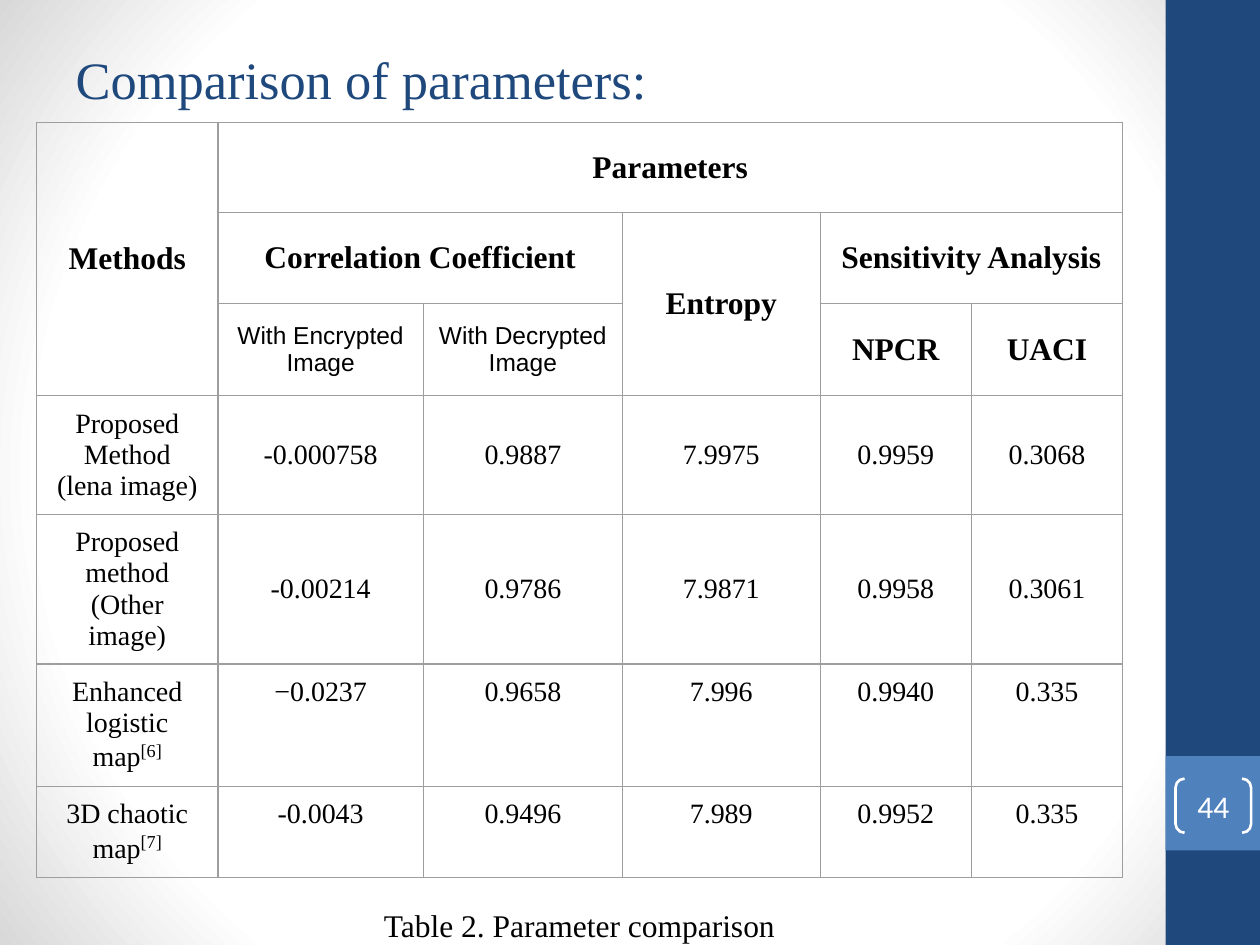
from lxml import etree
from pptx import Presentation
from pptx.dml.color import RGBColor
from pptx.enum.shapes import MSO_SHAPE
from pptx.enum.text import MSO_ANCHOR, PP_ALIGN
from pptx.oxml import parse_xml
from pptx.util import Inches, Pt

RECT, PAIR = MSO_SHAPE.RECTANGLE, MSO_SHAPE.DOUBLE_BRACKET
LEFT, MID = PP_ALIGN.LEFT, PP_ALIGN.CENTER
TOP, CENTER = MSO_ANCHOR.TOP, MSO_ANCHOR.MIDDLE
NS = "http://schemas.openxmlformats.org/drawingml/2006/main"
SERIF = "Times New Roman"
HUES = {"navy": "1F497D", "blue": "4F81BD", "white": "FFFFFF",
        "black": "000000", "gray": "D8D8D8", "rule": "9E9E9E"}


def write(frame, text, size=16, font=SERIF, hue="black", bold=False, align=MID):
    frame.word_wrap = True
    for i, line in enumerate(text.split("\n")):
        para = frame.paragraphs[0] if i == 0 else frame.add_paragraph()
        para.alignment = align
        for j, part in enumerate(line.split("^")):
            run = para.add_run()
            run.text = part
            run.font.name = font
            run.font.size = Pt(18 if j else size)
            run.font.bold = bold
            run.font.color.rgb = RGBColor.from_string(HUES[hue])
            if j:
                run.font._element.set("baseline", "30000")


deck = Presentation()
deck.slide_width, deck.slide_height = Inches(10), Inches(7.5)
slide = deck.slides.add_slide(deck.slide_layouts[5])
shapes = slide.shapes

fill = slide.background.fill
fill.gradient()
grad = slide.background._cSld.find(f".//{{{NS}}}gradFill")
stops = "".join(f'<a:gs pos="{at * 1000}"><a:srgbClr val="{HUES[hue]}"/></a:gs>'
                for at, hue in ((0, "white"), (75, "white"), (100, "gray")))
grad.getparent().replace(grad, parse_xml(
    f'<a:gradFill xmlns:a="{NS}" rotWithShape="1"><a:gsLst>{stops}</a:gsLst>'
    '<a:path path="circle"><a:fillToRect l="50000" t="50000" r="50000" b="50000"/>'
    '</a:path></a:gradFill>'))

for top, high, hue in ((0, 7.5, "navy"), (6, 0.75, "blue")):
    bar = shapes.add_shape(RECT, Inches(9.25), Inches(top), Inches(0.75), Inches(high))
    bar.shadow.inherit = False
    bar.fill.solid()
    bar.fill.fore_color.rgb = RGBColor.from_string(HUES[hue])
    bar.line.fill.background()

title = shapes.title
title.left, title.top = Inches(0.5), Inches(0)
title.width, title.height = Inches(8.33), Inches(1.25)
title.text_frame.vertical_anchor = CENTER
write(title.text_frame, "Comparison of parameters:", size=30, hue="navy", align=LEFT)

rows = [
    ["Methods", "Parameters", "", "", "", ""],
    ["", "Correlation Coefficient", "", "Entropy", "Sensitivity Analysis", ""],
    ["", "With Encrypted Image", "With Decrypted Image", "", "NPCR", "UACI"],
    ["Proposed Method\n(lena image)", "-0.000758", "0.9887", "7.9975", "0.9959", "0.3068"],
    ["Proposed method\n(Other image)", "-0.00214", "0.9786", "7.9871", "0.9958", "0.3061"],
    ["Enhanced logistic map^[6]", "−0.0237", "0.9658", "7.996", "0.9940", "0.335"],
    ["3D chaotic map^[7]", "-0.0043", "0.9496", "7.989", "0.9952", "0.335"],
]
wide = [1.44, 1.63, 1.58, 1.57, 1.2, 1.2]
high = [0.72, 0.72, 0.73, 0.94, 1.19, 0.97, 0.72]
table = shapes.add_table(len(rows), len(wide), Inches(0.29), Inches(0.97),
                         Inches(sum(wide)), Inches(sum(high))).table
table.first_row = table.horz_banding = False
for col, size in zip(table.columns, wide):
    col.width = Inches(size)
for row, size in zip(table.rows, high):
    row.height = Inches(size)
for r, c, down, over in ((0, 0, 2, 0), (0, 1, 0, 4), (1, 1, 0, 1), (1, 3, 1, 0), (1, 4, 0, 1)):
    table.cell(r, c).merge(table.cell(r + down, c + over))

for r, row in enumerate(rows):
    for c, text in enumerate(row):
        cell = table.cell(r, c)
        cell.margin_left = cell.margin_right = Inches(0.1)
        cell.margin_top = cell.margin_bottom = Inches(0.1)
        cell.vertical_anchor = CENTER if r < 5 else TOP
        props = cell._tc.get_or_add_tcPr()
        for side in "LRTB":
            edge = etree.SubElement(props, f"{{{NS}}}ln{side}", w=str(Pt(0.75)))
            paint = etree.SubElement(edge, f"{{{NS}}}solidFill")
            etree.SubElement(paint, f"{{{NS}}}srgbClr", val=HUES["rule"])
        cell.fill.background()
        if text.startswith("With"):
            write(cell.text_frame, text, size=14, font="Arial")
        elif text:
            write(cell.text_frame, text, size=18 if r < 3 else 16, bold=r < 3)

note = shapes.add_textbox(Inches(2.82), Inches(7.09), Inches(3.56), Inches(0.5)).text_frame
note.margin_left = note.margin_right = note.margin_top = note.margin_bottom = Inches(0.1)
write(note, "Table 2. Parameter comparison", size=18)

badge = shapes.add_shape(PAIR, Inches(9.33), Inches(6.18), Inches(0.6), Inches(0.43))
badge.shadow.inherit = False
badge.fill.background()
badge.line.color.rgb = RGBColor.from_string(HUES["white"])
badge.line.width = Pt(1.5)
page = badge.text_frame
page.margin_left = page.margin_right = page.margin_top = page.margin_bottom = 0
page.vertical_anchor = CENTER
write(page, "44", size=18, font="Calibri", hue="white")

deck.save("out.pptx")
